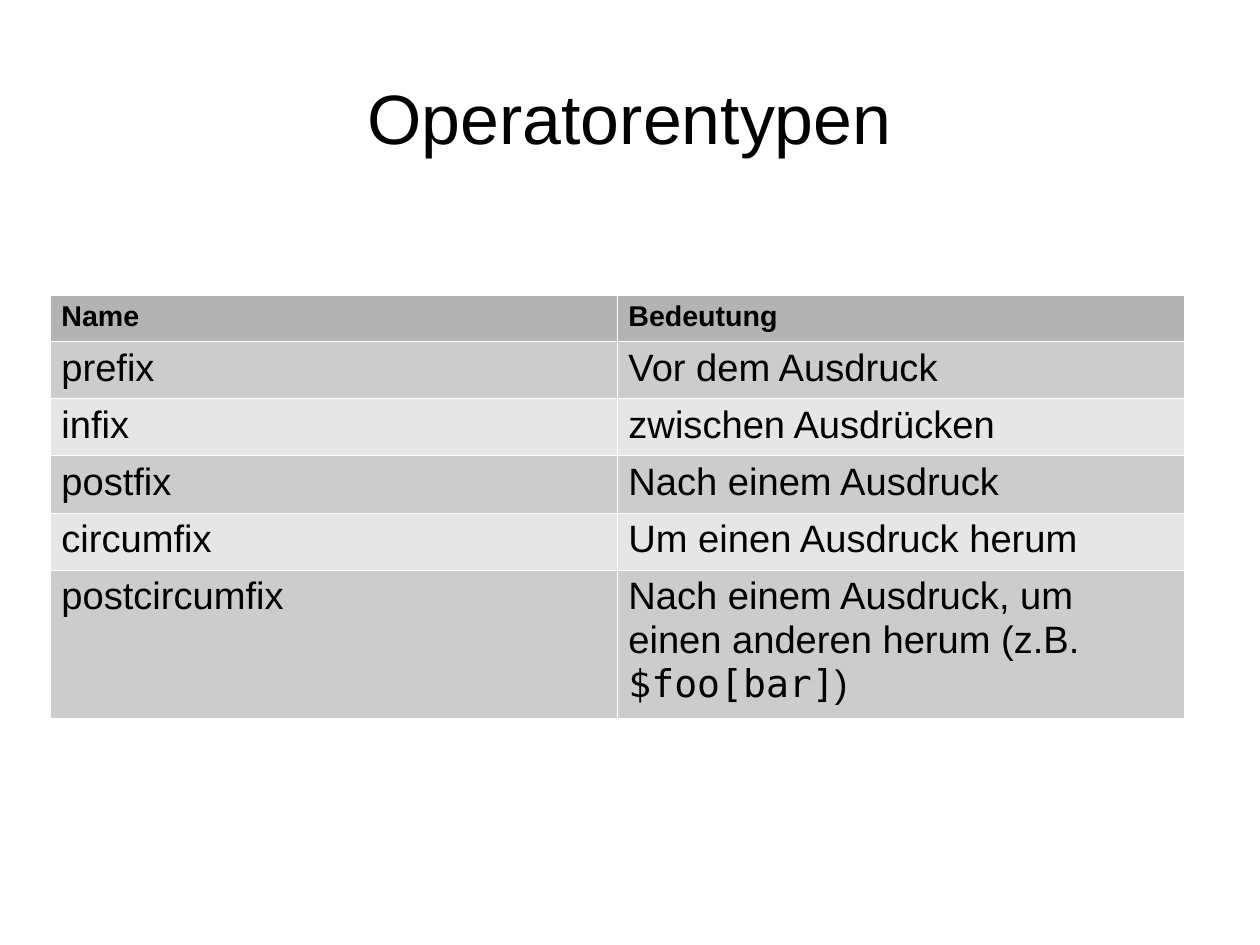
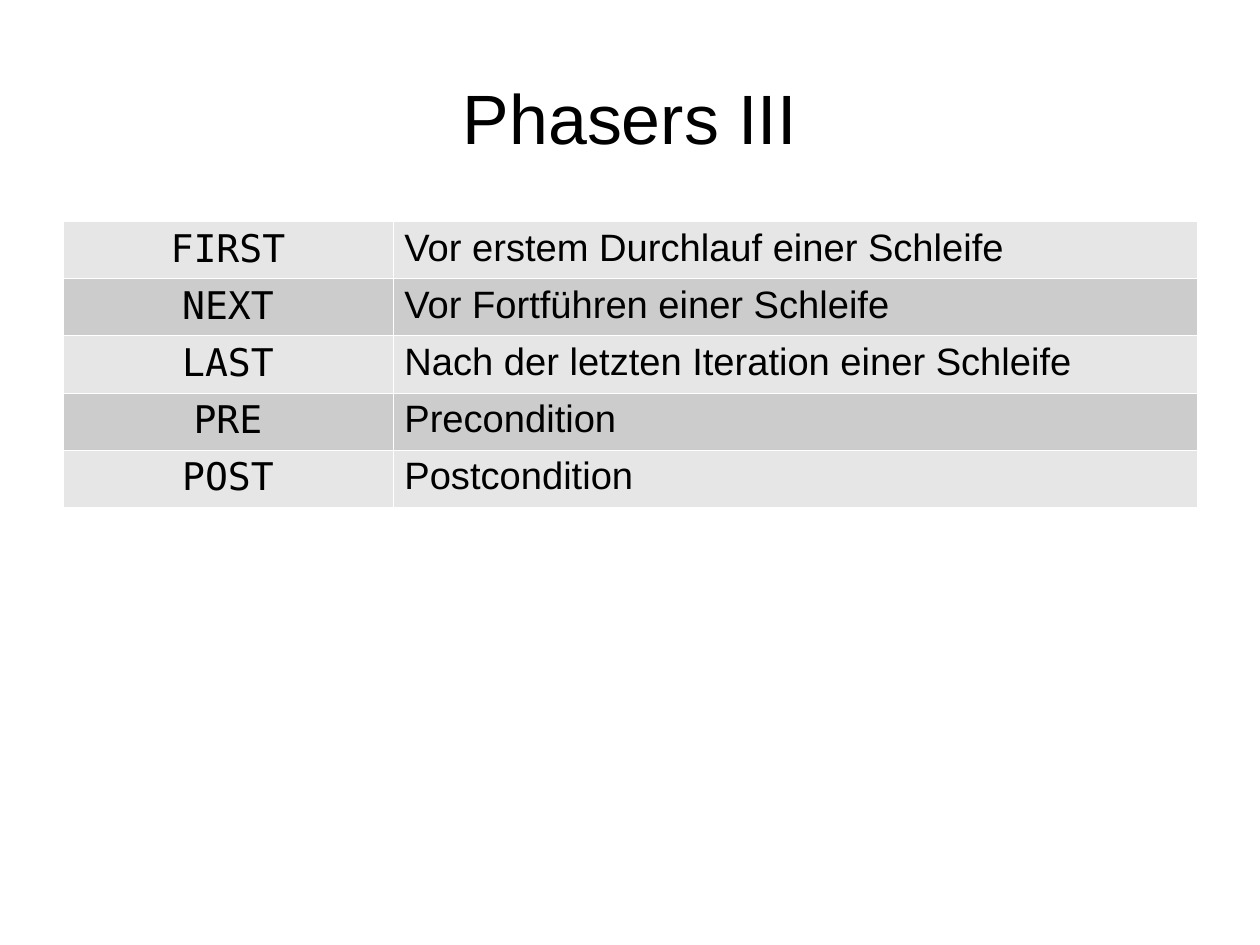
from dataclasses import dataclass

from lxml import etree
from pptx import Presentation
from pptx.dml.color import RGBColor
from pptx.enum.text import MSO_ANCHOR, PP_ALIGN
from pptx.oxml.ns import qn
from pptx.util import Emu, Pt

CENTER, LEFT = PP_ALIGN.CENTER, PP_ALIGN.LEFT
MIDDLE = MSO_ANCHOR.MIDDLE
PIXEL = 8000  # EMU in one pixel


@dataclass(frozen=True)
class Theme:
    text: str = "000000"
    header: str = "B3B3B3"
    dark: str = "CCCCCC"
    light: str = "E6E6E6"
    border: str = "FFFFFF"
    border_width: float = 0.06
    sans: str = "Arial"
    mono: str = "DejaVu Sans Mono"
    title_size: int = 44
    header_size: int = 18
    body_size: int = 24


theme = Theme()


def px(pixels):
    return Emu(pixels * PIXEL)


def add_span(para, text, size, font=theme.sans, bold=False):
    span = para.add_run()
    span.text = text
    span.font.size = Pt(size)
    span.font.name = font
    span.font.bold = bold
    span.font.color.rgb = RGBColor.from_string(theme.text)


# Content: each cell is a list of (text, font) spans
sans, mono = theme.sans, theme.mono
operators = [
    ([("Name", sans)], [("Bedeutung", sans)]),
    ([("prefix", sans)], [("Vor dem Ausdruck", sans)]),
    ([("infix", sans)], [("zwischen Ausdrücken", sans)]),
    ([("postfix", sans)], [("Nach einem Ausdruck", sans)]),
    ([("circumfix", sans)], [("Um einen Ausdruck herum", sans)]),
    ([("postcircumfix", sans)],
     [("Nach einem Ausdruck, um einen anderen herum (z.B.", sans),
      (" $foo[bar]", mono), (")", sans)]),
]
phasers = [
    ([("FIRST", mono)], [("Vor erstem Durchlauf einer Schleife", sans)]),
    ([("NEXT", mono)], [("Vor Fortführen einer Schleife", sans)]),
    ([("LAST", mono)], [("Nach der letzten Iteration einer Schleife", sans)]),
    ([("PRE", mono)], [("Precondition", sans)]),
    ([("POST", mono)], [("Postcondition", sans)]),
]

# Title, rows, has header, table left and top, column widths, row heights, alignments
pages = [
    ("Operatorentypen", operators, True, 50, 295,
     [567, 567], [46] + [57] * 4 + [148], [LEFT, LEFT]),
    ("Phasers III", phasers, False, 63, 221,
     [330, 804], [57] * 5, [CENTER, LEFT]),
]

deck = Presentation()
deck.slide_width, deck.slide_height = px(1260), px(945)

for title, rows, has_header, left, top, widths, heights, alignments in pages:
    page = deck.slides.add_slide(deck.slide_layouts[6])

    # Title
    box = page.shapes.add_textbox(px(63), px(38), px(1134), px(158))
    frame = box.text_frame
    frame.word_wrap = True
    frame.vertical_anchor = MIDDLE
    frame.margin_left = frame.margin_right = 0
    frame.margin_top = frame.margin_bottom = 0
    para = frame.paragraphs[0]
    para.alignment = CENTER
    add_span(para, title, theme.title_size)

    # Table grid
    table = page.shapes.add_table(len(rows), len(widths), px(left), px(top),
                                  px(sum(widths)), px(sum(heights))).table
    table.first_row = has_header
    table.horz_banding = False
    for column, width in zip(table.columns, widths):
        column.width = px(width)
    for row, height in zip(table.rows, heights):
        row.height = px(height)

    # Cells
    for row_index, cells in enumerate(rows):
        is_header = has_header and row_index == 0
        if is_header:
            fill, size = theme.header, theme.header_size
        else:
            fill = theme.dark if row_index % 2 else theme.light
            size = theme.body_size
        for column_index, spans in enumerate(cells):
            cell = table.cell(row_index, column_index)
            properties = cell._tc.get_or_add_tcPr()
            for side in ("a:lnL", "a:lnR", "a:lnT", "a:lnB"):
                line = etree.SubElement(properties, qn(side),
                                        w=str(Pt(theme.border_width)))
                paint = etree.SubElement(line, qn("a:solidFill"))
                etree.SubElement(paint, qn("a:srgbClr"), val=theme.border)
            cell.fill.solid()
            cell.fill.fore_color.rgb = RGBColor.from_string(fill)
            para = cell.text_frame.paragraphs[0]
            para.alignment = alignments[column_index]
            for text, font in spans:
                add_span(para, text, size, font, is_header)

deck.save("out.pptx")
